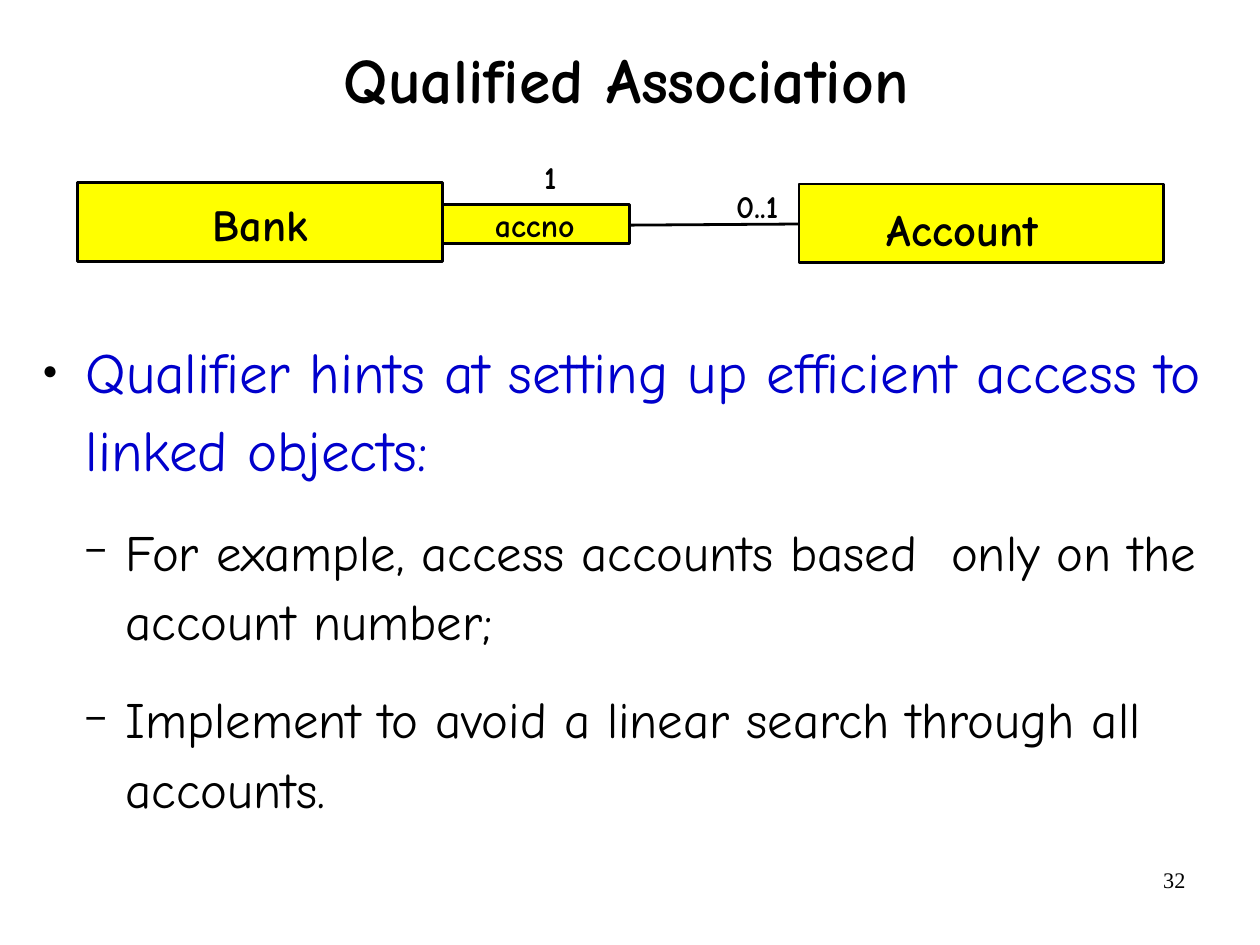
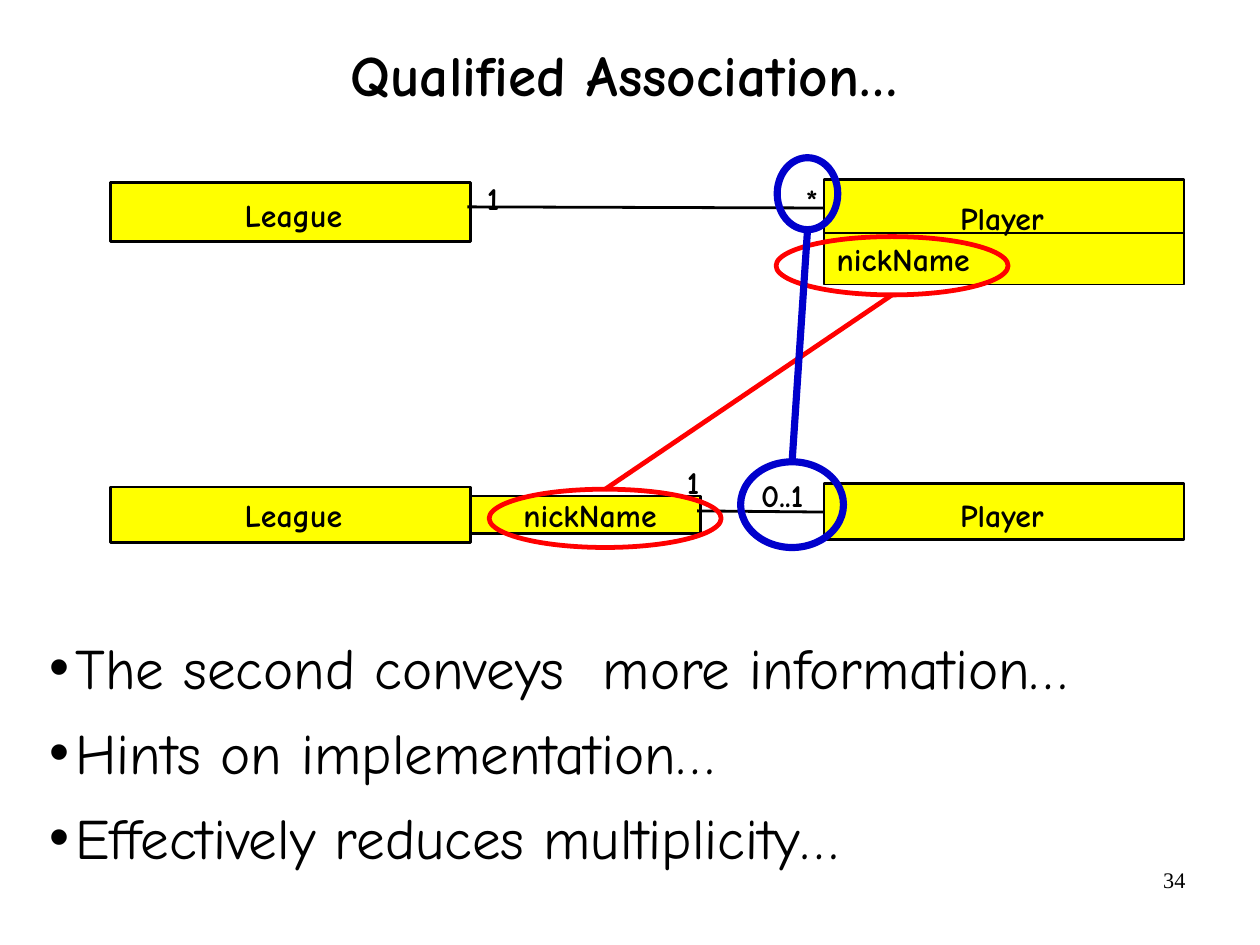
from lxml import etree
from pptx import Presentation
from pptx.dml.color import RGBColor
from pptx.enum.shapes import MSO_CONNECTOR as Connector, MSO_SHAPE as Preset
from pptx.enum.text import MSO_ANCHOR as Anchor, MSO_AUTO_SIZE as AutoSize, PP_ALIGN as Align
from pptx.oxml.ns import qn
from pptx.util import Cm, Inches, Pt

COLORS = {"ink": "000000", "box": "FFFF00", "blue": "0000CC", "red": "FF0000"}
FONT = "Comic Neue"
NUMBER_FONT = "Times New Roman"
LINE = 1.75
LABEL_HEIGHTS = {20: 0.33, 28: 0.47}

BULLETS = {
    "main": dict(level=0, char="●", percent=45, margin=0.38, hang=0.38, size=36,
                 color="blue", spacing=1.14, before=12),
    "sub": dict(level=1, char="−", percent=75, margin=0.73, hang=0.36, size=32,
                color="ink", spacing=1.14, before=12),
    "plain": dict(level=0, char="•", percent=100, margin=0.23, hang=0.23, size=36,
                  color="ink", spacing=1.1, before=0),
}

SLIDES = [
    {
        "number": "32",
        "title": ("Qualified Association", (0.78, 0.38, 9.4, 1.37), 40, Anchor.TOP),
        "body_at": (0.26, 2.8, 10.5, 4.7),
        "body_insets": (0.11, 0.06),
        "body": [
            ("main", "Qualifier hints at setting up efficient access to linked objects:"),
            ("sub", "For example, access accounts based  only on the account number;"),
            ("sub", "Implement to avoid a linear search through all accounts."),
        ],
        "boxes": [
            (3.86, 1.79, 1.65, 0.34, LINE),
            (6.99, 1.61, 3.19, 0.69, LINE),
            (0.68, 1.6, 3.19, 0.69, LINE),
        ],
        "associations": [(5.51, 1.97, 6.99, 1.96)],
        "labels": [
            ("Bank", 1.86, 1.72, 0.87, 28),
            ("accno", 4.33, 1.8, 0.73, 20),
            ("1", 4.76, 1.38, 0.17, 20),
            ("0..1", 6.44, 1.63, 0.58, 20),
            ("Account", 7.76, 1.77, 1.48, 28),
        ],
        "highlights": [],
    },
    {
        "number": "34",
        "title": ("Qualified Association… ", (0.85, 0, 9.4, 1.37), 36, Anchor.MIDDLE),
        "body_at": (0.43, 5.47, 9.53, 2.13),
        "body_insets": (0, 0),
        "body": [
            ("plain", "The second conveys  more information…"),
            ("plain", "Hints on implementation…"),
            ("plain", "Effectively reduces multiplicity…"),
        ],
        "boxes": [
            (0.97, 1.6, 3.15, 0.51, LINE),
            (7.21, 1.57, 3.15, 0.52, LINE),
            (7.21, 2.04, 3.15, 0.45, 1),
            (4.12, 4.34, 2.01, 0.33, LINE),
            (0.97, 4.26, 3.15, 0.49, LINE),
            (7.21, 4.23, 3.15, 0.49, LINE),
        ],
        "associations": [(4.09, 1.81, 7.21, 1.82), (6.1, 4.47, 7.21, 4.48)],
        "labels": [
            ("League", 2.14, 1.71, 0.91, 20),
            ("1", 4.26, 1.56, 0.17, 20),
            ("*", 7.05, 1.58, 0.15, 20),
            ("Player", 8.4, 1.74, 0.82, 20),
            ("nickName", 7.32, 2.1, 1.27, 20),
            ("League", 2.14, 4.34, 0.91, 20),
            ("nickName", 4.58, 4.34, 1.27, 20),
            ("1", 6.01, 4.05, 0.17, 20),
            ("0..1", 6.66, 4.16, 0.58, 20),
            ("Player", 8.4, 4.34, 0.82, 20),
        ],
        "highlights": [
            ("red", 3, (6.79, 2.07, 2.03, 0.51), (4.28, 4.28, 2.03, 0.51)),
            ("blue", 4.5, (6.8, 1.38, 0.53, 0.63), (6.48, 4.04, 0.9, 0.75)),
        ],
    },
]


def rgb(name):
    return RGBColor.from_string(COLORS[name])


def inches(values):
    return [Inches(value) for value in values]


def place(shape, position):
    shape.left, shape.top, shape.width, shape.height = inches(position)


def set_frame(frame, horizontal, vertical, wrap, anchor=Anchor.TOP):
    frame.auto_size = AutoSize.NONE
    frame.word_wrap = wrap
    frame.vertical_anchor = anchor
    frame.margin_left = frame.margin_right = Inches(horizontal)
    frame.margin_top = frame.margin_bottom = Inches(vertical)


def set_font(paragraph, size, color="ink", bold=False, name=FONT):
    font = paragraph.font
    font.name, font.size, font.bold = name, Pt(size), bold
    font.color.rgb = rgb(color)


def set_outline(shape, color, width):
    shape.line.color.rgb = rgb(color)
    shape.line.width = Pt(width)


def set_bullet(paragraph, style):
    properties = paragraph._p.get_or_add_pPr()
    properties.set("marL", str(Inches(style["margin"])))
    properties.set("indent", str(-Inches(style["hang"])))
    color = etree.SubElement(properties, qn("a:buClr"))
    etree.SubElement(color, qn("a:srgbClr"), val=COLORS["ink"])
    etree.SubElement(properties, qn("a:buSzPct"), val=str(style["percent"] * 1000))
    etree.SubElement(properties, qn("a:buFont"), typeface="Arial")
    etree.SubElement(properties, qn("a:buChar"), char=style["char"])


def fill_title(shape, text, position, size, anchor):
    place(shape, position)
    set_frame(shape.text_frame, 0.11, 0.06, True, anchor)
    paragraph = shape.text_frame.paragraphs[0]
    paragraph.text = text
    paragraph.alignment = Align.CENTER
    paragraph.line_spacing = 0.88
    set_font(paragraph, size, bold=True)


def fill_body(shape, items, position, insets):
    place(shape, position)
    frame = shape.text_frame
    set_frame(frame, *insets, True)
    for index, (kind, text) in enumerate(items):
        style = BULLETS[kind]
        paragraph = frame.add_paragraph() if index else frame.paragraphs[0]
        paragraph.text = text
        paragraph.level = style["level"]
        set_bullet(paragraph, style)
        paragraph.line_spacing = style["spacing"]
        paragraph.space_before = Pt(style["before"] if index else 0)
        paragraph.space_after = Pt(6)
        set_font(paragraph, style["size"], style["color"])


def add_box(shapes, left, top, width, height, line_width):
    box = shapes.add_shape(Preset.RECTANGLE, *inches((left, top, width, height)))
    box.shadow.inherit = False
    box.fill.solid()
    box.fill.fore_color.rgb = rgb("box")
    set_outline(box, "ink", line_width)


def add_line(shapes, ends, color="ink", width=LINE):
    line = shapes.add_connector(Connector.STRAIGHT, *inches(ends))
    set_outline(line, color, width)
    etree.SubElement(line._element.spPr, qn("a:effectLst"))


def add_label(shapes, text, left, top, width, size):
    position = (left, top, width, LABEL_HEIGHTS[size])
    frame = shapes.add_textbox(*inches(position)).text_frame
    set_frame(frame, 0, 0, False)
    frame.paragraphs[0].text = text
    set_font(frame.paragraphs[0], size, bold=True)


def add_highlight(shapes, color, width, upper, lower):
    members = shapes.add_group_shape().shapes
    for position in (upper, lower):
        ring = members.add_shape(Preset.OVAL, *inches(position))
        ring.shadow.inherit = False
        ring.fill.background()
        set_outline(ring, color, width)
    ends = (upper[0] + upper[2] / 2, upper[1] + upper[3],
            lower[0] + lower[2] / 2, lower[1])
    add_line(members, ends, color, width)


def add_number(shapes, text):
    frame = shapes.add_textbox(*inches((7.9, 7.53, 2.57, 0.57))).text_frame
    set_frame(frame, 0.1, 0.05, True)
    paragraph = frame.paragraphs[0]
    paragraph.text = text
    paragraph.alignment = Align.RIGHT
    set_font(paragraph, 14, name=NUMBER_FONT)


def build_slide(presentation, content):
    slide = presentation.slides.add_slide(presentation.slide_layouts[1])
    shapes = slide.shapes
    fill_title(shapes.title, *content["title"])
    fill_body(slide.placeholders[1], content["body"], content["body_at"], content["body_insets"])
    for box in content["boxes"]:
        add_box(shapes, *box)
    for ends in content["associations"]:
        add_line(shapes, ends)
    for label in content["labels"]:
        add_label(shapes, *label)
    for highlight in content["highlights"]:
        add_highlight(shapes, *highlight)
    add_number(shapes, content["number"])


def main():
    presentation = Presentation()
    presentation.slide_width, presentation.slide_height = Cm(28), Cm(21)
    presentation.element.sldSz.attrib.pop("type", None)
    for content in SLIDES:
        build_slide(presentation, content)
    presentation.save("out.pptx")


if __name__ == "__main__":
    main()
